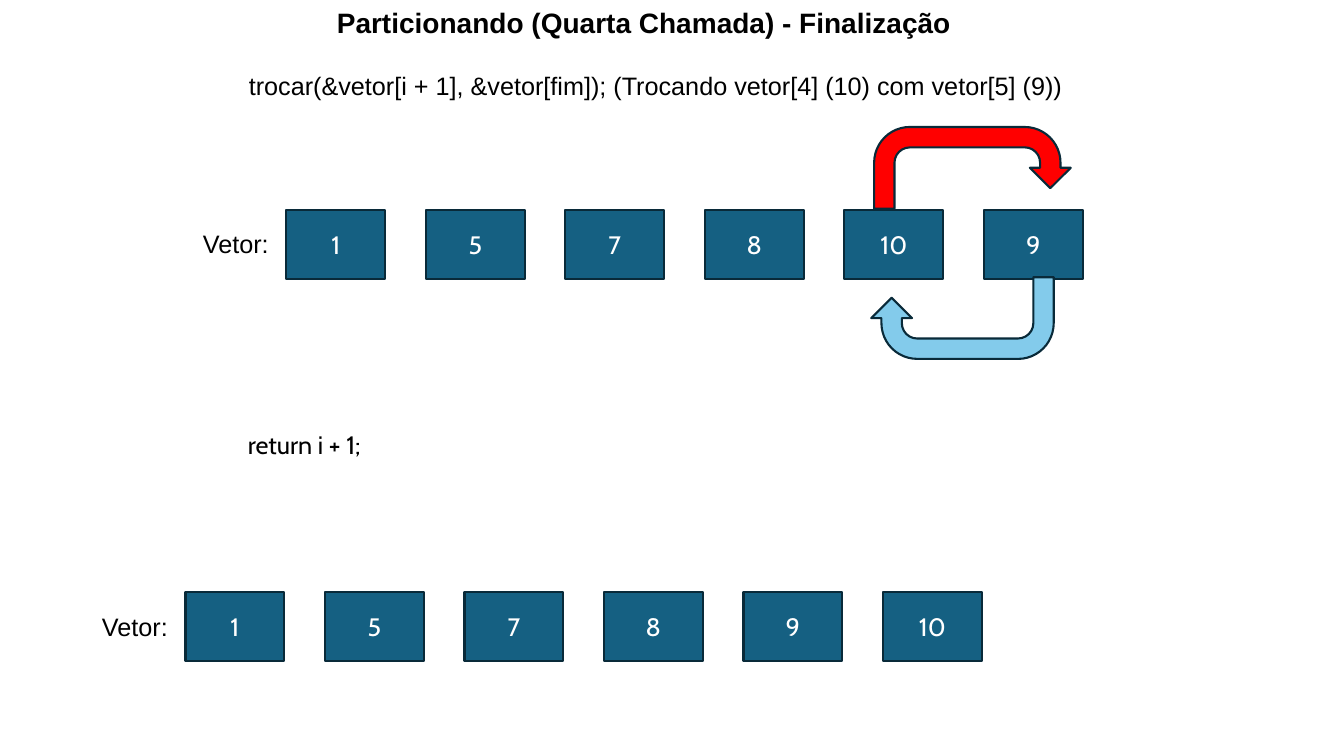
from dataclasses import dataclass

from pptx import Presentation
from pptx.dml.color import RGBColor
from pptx.enum.shapes import MSO_SHAPE
from pptx.enum.text import MSO_ANCHOR, MSO_AUTO_SIZE, PP_ALIGN
from pptx.util import Inches, Pt

RECTANGLE, U_TURN = MSO_SHAPE.RECTANGLE, MSO_SHAPE.U_TURN_ARROW
TOP, MIDDLE = MSO_ANCHOR.TOP, MSO_ANCHOR.MIDDLE
LEFT, CENTER = PP_ALIGN.LEFT, PP_ALIGN.CENTER
GROW = MSO_AUTO_SIZE.SHAPE_TO_FIT_TEXT

BLACK = RGBColor(0x00, 0x00, 0x00)
WHITE = RGBColor(0xFF, 0xFF, 0xFF)
CELL_BLUE = RGBColor(0x15, 0x60, 0x82)
OUTLINE = RGBColor(0x09, 0x2A, 0x39)
RED = RGBColor(0xFF, 0x00, 0x00)
SKY_BLUE = RGBColor(0x83, 0xCB, 0xEB)

SLIDE_WIDTH, SLIDE_HEIGHT = Inches(13.33), Inches(7.5)

# Vector layout, in percent of the slide's width or height
CELL_PITCH, CELL_WIDTH, CELL_HEIGHT = 10.38, 7.35, 9.2
LABEL_INDENT, LABEL_DROP, LABEL_WIDTH = 6.95, 1.87, 78.99
LINE_HEIGHT = 5.33


@dataclass(frozen=True)
class Area:
    """A region in percent of the slide's width and height."""
    left: float
    top: float
    width: float
    height: float

    def emu(self) -> tuple[int, int, int, int]:
        return (round(SLIDE_WIDTH * self.left / 100),
                round(SLIDE_HEIGHT * self.top / 100),
                round(SLIDE_WIDTH * self.width / 100),
                round(SLIDE_HEIGHT * self.height / 100))


@dataclass(frozen=True)
class Caption:
    text: str
    area: Area
    font: str = "Arial"


@dataclass(frozen=True)
class Vector:
    values: tuple[int, ...]
    left: float
    top: float


@dataclass(frozen=True)
class SwapArrow:
    area: Area
    color: RGBColor
    rotation: int


TITLE = Caption("Particionando (Quarta Chamada) - Finalização",
                Area(24.31, 0, 53.71, 5.87))
CAPTIONS = (
    Caption("trocar(&vetor[i + 1], &vetor[fim]); "
            "(Trocando vetor[4] (10) com vetor[5] (9))",
            Area(17.78, 8.67, 63.24, LINE_HEIGHT)),
    Caption("return i + 1;", Area(17.7, 56.13, 14.55, LINE_HEIGHT), "Cabin"),
)
VECTORS = (
    Vector((1, 5, 7, 8, 10, 9), 21.31, 27.73),
    Vector((1, 5, 7, 8, 9, 10), 13.8, 78.27),
)
SWAP_ARROWS = (
    SwapArrow(Area(65.04, 16.8, 14.63, 10.8), RED, 0),
    SwapArrow(Area(64.82, 36.67, 13.58, 10.8), SKY_BLUE, 180),
)


def write(shape, text: str, font: str, size: int = 18, color: RGBColor = BLACK,
          bold: bool = False, align: int = LEFT, anchor: int = TOP) -> None:
    frame = shape.text_frame
    frame.text = text
    frame.word_wrap = True
    frame.vertical_anchor = anchor
    paragraph = frame.paragraphs[0]
    paragraph.alignment = align
    paragraph.font.name = font
    paragraph.font.size = Pt(size)
    paragraph.font.bold = bold
    paragraph.font.color.rgb = color


def draw_title(slide, title: Caption) -> None:
    heading = slide.shapes.title
    heading.left, heading.top, heading.width, heading.height = title.area.emu()
    write(heading, title.text, title.font, size=20, bold=True)
    heading.text_frame.auto_size = GROW


def draw_caption(slide, caption: Caption) -> None:
    box = slide.shapes.add_textbox(*caption.area.emu())
    write(box, caption.text, caption.font)
    box.text_frame.auto_size = GROW


def draw_outlined(slide, preset: int, area: Area, color: RGBColor):
    shape = slide.shapes.add_shape(preset, *area.emu())
    shape.shadow.inherit = False
    shape.fill.solid()
    shape.fill.fore_color.rgb = color
    shape.line.color.rgb = OUTLINE
    shape.line.width = Pt(1.5)
    return shape


def draw_vector(slide, vector: Vector) -> None:
    draw_caption(slide, Caption("Vetor:", Area(
        vector.left - LABEL_INDENT, vector.top + LABEL_DROP,
        LABEL_WIDTH, LINE_HEIGHT)))
    for column, value in enumerate(vector.values):
        area = Area(vector.left + column * CELL_PITCH, vector.top,
                    CELL_WIDTH, CELL_HEIGHT)
        cell = draw_outlined(slide, RECTANGLE, area, CELL_BLUE)
        write(cell, str(value), "Cabin", color=WHITE,
              align=CENTER, anchor=MIDDLE)


def draw_swap_arrow(slide, arrow: SwapArrow) -> None:
    shape = draw_outlined(slide, U_TURN, arrow.area, arrow.color)
    shape.rotation = arrow.rotation


def main() -> None:
    presentation = Presentation()
    presentation.slide_width = SLIDE_WIDTH
    presentation.slide_height = SLIDE_HEIGHT
    title_only = presentation.slide_layouts[5]
    slide = presentation.slides.add_slide(title_only)

    # Heading and code lines
    draw_title(slide, TITLE)
    for caption in CAPTIONS:
        draw_caption(slide, caption)

    # Vector before and after the swap
    for vector in VECTORS:
        draw_vector(slide, vector)

    # Arrows exchanging the last two values
    for arrow in SWAP_ARROWS:
        draw_swap_arrow(slide, arrow)

    presentation.save("out.pptx")


if __name__ == "__main__":
    main()
